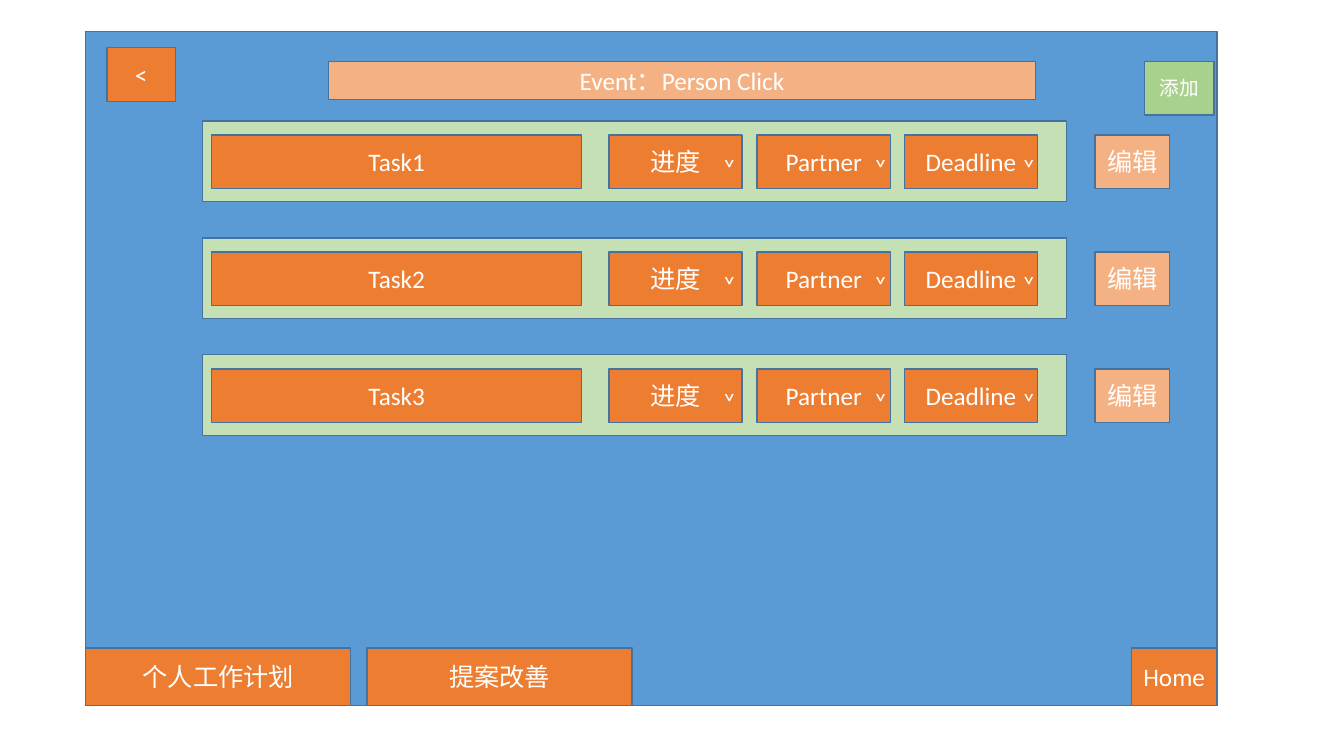
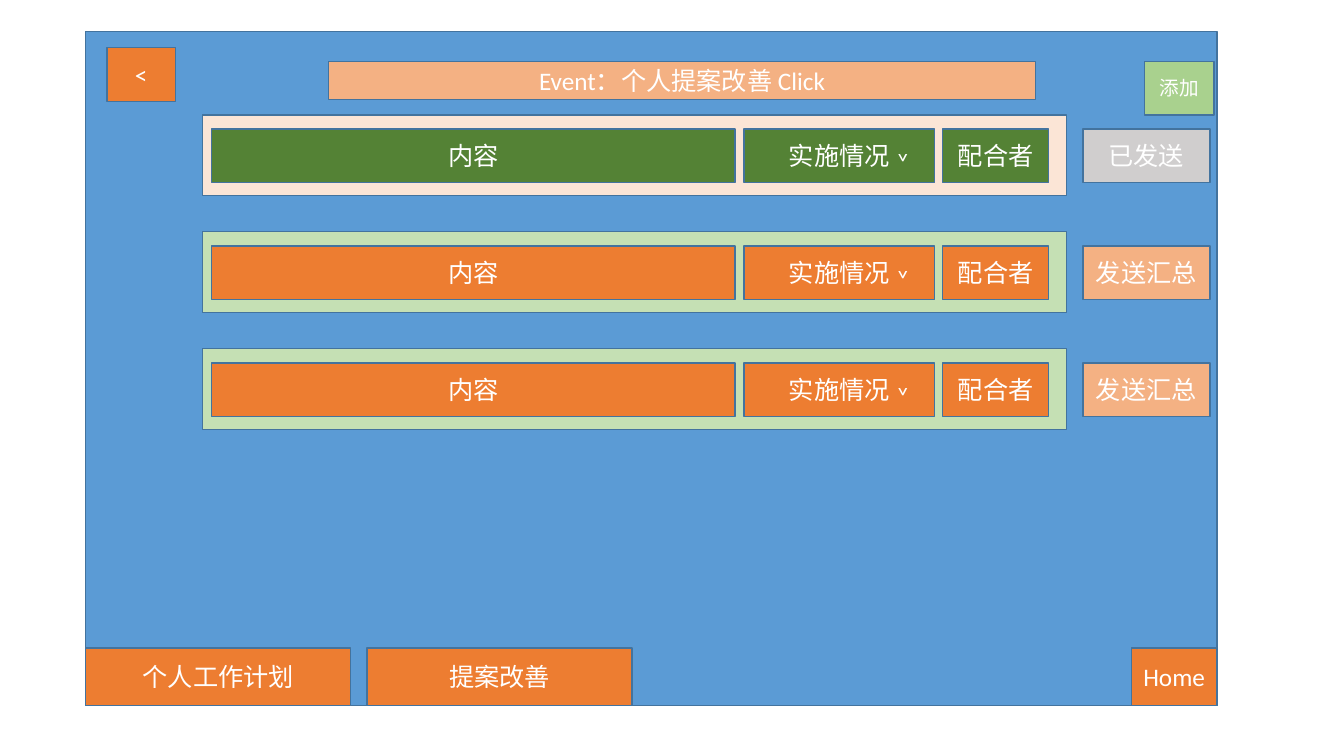
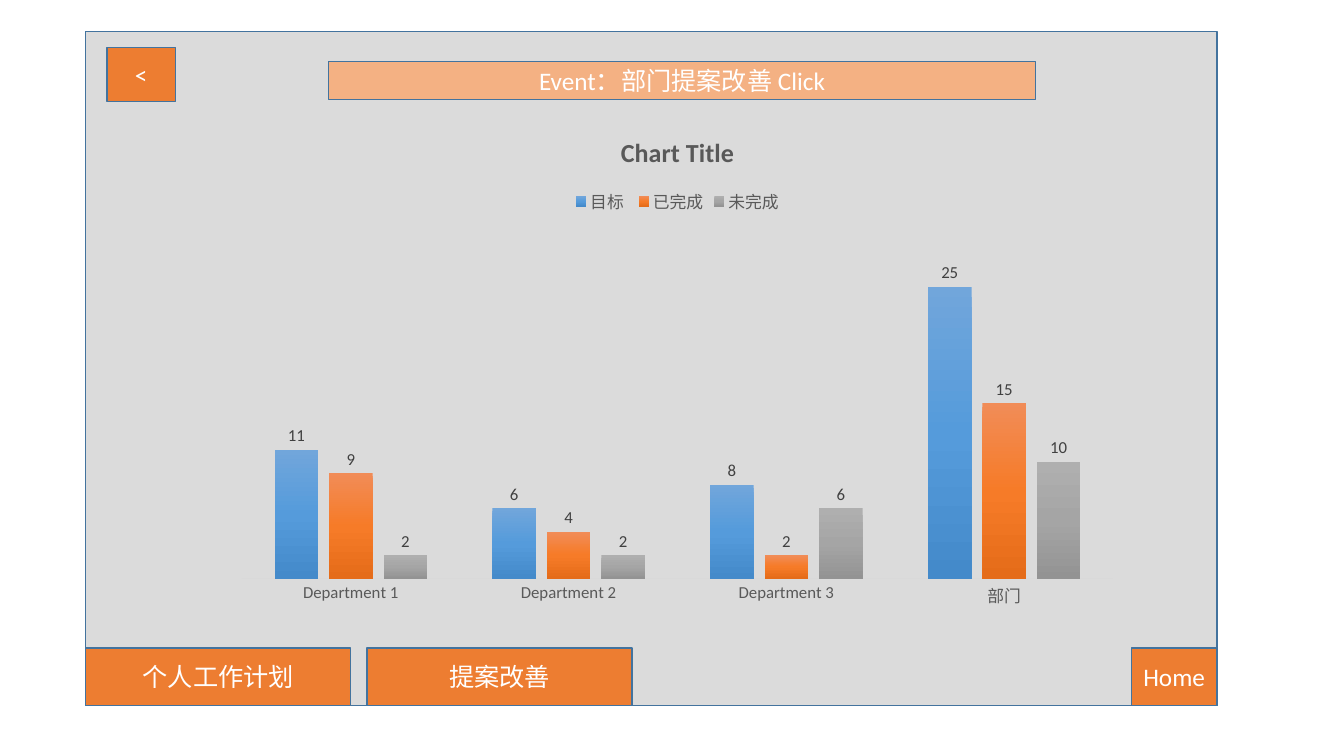
from collections import namedtuple
from copy import deepcopy

from pptx import Presentation
from pptx.chart.data import CategoryChartData
from pptx.dml.color import RGBColor
from pptx.enum.chart import XL_CHART_TYPE, XL_LABEL_POSITION, XL_LEGEND_POSITION, XL_TICK_MARK
from pptx.enum.shapes import MSO_SHAPE
from pptx.enum.text import MSO_ANCHOR, MSO_AUTO_SIZE, PP_ALIGN
from pptx.oxml.ns import qn
from pptx.util import Inches, Pt

FONT = "Calibri"
WHITE = RGBColor(0xFF, 0xFF, 0xFF)
BLUE = RGBColor(0x5B, 0x9B, 0xD5)
OUTLINE = RGBColor(0x43, 0x73, 0x9E)
ORANGE = RGBColor(0xED, 0x7D, 0x31)
PEACH = RGBColor(0xF4, 0xB1, 0x83)
BLUSH = RGBColor(0xFB, 0xE5, 0xD6)
GREEN = RGBColor(0xA9, 0xD1, 0x8E)
PALE_GREEN = RGBColor(0xC5, 0xE0, 0xB4)
DARK_GREEN = RGBColor(0x54, 0x82, 0x35)
SILVER = RGBColor(0xD0, 0xCE, 0xCE)
LIGHT_GRAY = RGBColor(0xDB, 0xDB, 0xDB)
AXIS_GRAY = RGBColor(0xD9, 0xD9, 0xD9)
TEXT_GRAY = RGBColor(0x59, 0x59, 0x59)
LABEL_GRAY = RGBColor(0x40, 0x40, 0x40)
BLUE_RAMP = [RGBColor(0x71, 0xA6, 0xDB), RGBColor(0x55, 0x9B, 0xDB), RGBColor(0x44, 0x8A, 0xCA)]
ORANGE_RAMP = [RGBColor(0xF1, 0x8C, 0x57), RGBColor(0xF6, 0x7B, 0x28), RGBColor(0xE5, 0x6C, 0x19)]
GRAY_RAMP = [RGBColor(0xAF, 0xAF, 0xAF), RGBColor(0xA5, 0xA5, 0xA5), RGBColor(0x93, 0x93, 0x93)]

GRID = Inches(0.1)
ROW_PITCH = 11.6
Box = namedtuple("Box", "left top width height")
Column = namedtuple("Column", "label left width chevron")

PANEL = Box(8.5, 3.1, 112.2, 66.9)
TASK_COLUMNS = [
    Column("进度", 40.3, 13.2, 50.6),
    Column("Partner", 55, 13.2, 65.6),
    Column("Deadline", 69.6, 13.2, 80.3),
]
PROPOSAL_COLUMNS = [
    Column("内容", 0.9, 51.9, None),
    Column("配合者", 73.4, 10.5, None),
    Column("实施情况", 53.7, 18.9, 67.8),
]


def within(box, left, top, width, height):
    """Return a box whose corner is measured from the corner of another."""
    return Box(box.left + left, box.top + top, width, height)


def scaled(box):
    """Turn a box in grid units into slide lengths."""
    return [round(value * GRID) for value in box]


def set_font(font, color, size, bold=False):
    """Format a font of text or of a chart part."""
    for name, value in {"name": FONT, "size": Pt(size), "bold": bold}.items():
        setattr(font, name, value)
    font.color.rgb = color


def write(shape, text, size, align):
    """Put one white line of text in a shape."""
    para = shape.text_frame.paragraphs[0]
    para.alignment = align
    span = para.add_run()
    span.text = text
    set_font(span.font, WHITE, size)


def dress(shape, fill, text="", size=18):
    """Give a shape the shared outline, its fill and its centred text."""
    shape.shadow.inherit = False
    shape.fill.solid()
    shape.fill.fore_color.rgb = fill
    shape.line.color.rgb = OUTLINE
    shape.line.width = Pt(1)
    frame = {"word_wrap": True, "auto_size": MSO_AUTO_SIZE.NONE, "vertical_anchor": MSO_ANCHOR.MIDDLE}
    for name, value in frame.items():
        setattr(shape.text_frame, name, value)
    if text:
        write(shape, text, size, PP_ALIGN.CENTER)


def add_button(shapes, box, fill, text="", size=18):
    """Add a rectangle with an optional label."""
    dress(shapes.add_shape(MSO_SHAPE.RECTANGLE, *scaled(box)), fill, text, size)


def add_chevron(shapes, box):
    """Add the mark of a drop-down list."""
    mark = shapes.add_textbox(*scaled(box))
    mark.text_frame.word_wrap = True
    write(mark, "˅", 18, PP_ALIGN.LEFT)


def add_title(page, box, text):
    """Move the title placeholder to the front and format it as a bar."""
    title = page.shapes.title
    title.element.getparent().append(title.element)
    for name, value in zip(Box._fields, scaled(box)):
        setattr(title, name, value)
    dress(title, PEACH, text)


def add_screen(deck, title, fill=BLUE):
    """Add a page with the panel, navigation buttons and title bar."""
    page = deck.slides.add_slide(deck.slide_layouts[5])
    add_button(page.shapes, PANEL, fill)
    add_button(page.shapes, within(PANEL, 2.1, 1.6, 6.8, 5.4), ORANGE, "<")
    for label, left, width in [("Home", 103.7, 8.5), ("个人工作计划", 0, 26.3), ("提案改善", 27.9, 26.3)]:
        add_button(page.shapes, within(PANEL, left, 61.2, width, 5.7), ORANGE, label)
    add_title(page, within(PANEL, 24.1, 3, 70.1, 3.8), title)
    return page


def add_row(page, box, columns, action, band=PALE_GREEN, cell=ORANGE):
    """Add a grouped band of cells with an action button beside it."""
    shapes = page.shapes.add_group_shape().shapes
    label, left, width, fill = action
    add_button(shapes, within(box, left, 1.4, width, 5.3), fill, label)
    add_button(shapes, box, band)
    for column in columns:
        add_button(shapes, within(box, column.left, 1.4, column.width, 5.3), cell, column.label)
    for column in columns:
        if column.chevron:
            add_chevron(shapes, within(box, column.chevron, 2.6, 2.6, 4))


def row_boxes(top):
    """Return the boxes of three equally spaced rows in the panel."""
    return [within(PANEL, 11.6, top + index * ROW_PITCH, 85.7, 8) for index in range(3)]


def add_adder(page):
    """Add the button that creates a new row."""
    add_button(page.shapes, within(PANEL, 105, 3, 6.9, 5.3), GREEN, "添加", 14)


def build_tasks(deck):
    """Build the list of personal tasks."""
    page = add_screen(deck, "Event：Person Click")
    for number, box in enumerate(row_boxes(8.9), 1):
        columns = [Column(f"Task{number}", 0.9, 36.7, None), *TASK_COLUMNS]
        add_row(page, box, columns, ("编辑", 88.5, 7.4, PEACH))
    add_adder(page)


def build_proposals(deck):
    """Build the list of proposals, the first of them already sent."""
    page = add_screen(deck, "Event：个人提案改善 Click")
    sent, *waiting = row_boxes(8.3)
    add_row(page, sent, PROPOSAL_COLUMNS, ("已发送", 87.3, 12.6, SILVER), BLUSH, DARK_GREEN)
    for box in waiting:
        add_row(page, box, PROPOSAL_COLUMNS, ("发送汇总", 87.3, 12.6, PEACH))
    add_adder(page)


def fill_ramp(series, ramp):
    """Fill a series with a three-stop gradient running downwards."""
    fill = series.format.fill
    fill.gradient()
    fill.gradient_angle = 270
    stops = series._element.find(".//" + qn("a:gsLst"))
    stops.insert(1, deepcopy(stops[0]))
    for stop, color, position in zip(fill.gradient_stops, ramp, (0, 0.5, 1)):
        stop.color.rgb = color
        stop.position = position


def add_column_chart(page, box):
    """Add the chart of targets and results by department."""
    data = CategoryChartData()
    data.categories = ["Department 1", "Department 2", "Department 3", "部门"]
    data.add_series("目标 ", [11, 6, 8, 25])
    data.add_series("已完成", [9, 4, 2, 15])
    data.add_series("未完成", [2, 2, 6, 10])
    chart = page.shapes.add_chart(XL_CHART_TYPE.COLUMN_CLUSTERED, *scaled(box), data).chart
    set_font(chart.font, TEXT_GRAY, 12)

    heading = chart.chart_title.text_frame
    heading.text = "Chart Title"
    set_font(heading.paragraphs[0].runs[0].font, TEXT_GRAY, 18.6, True)

    chart.has_legend = True
    chart.legend.position = XL_LEGEND_POSITION.TOP
    chart.legend.include_in_layout = False
    set_font(chart.legend.font, TEXT_GRAY, 12)

    chart.value_axis.visible = False
    chart.value_axis.has_major_gridlines = False
    axis = chart.category_axis
    axis.major_tick_mark = XL_TICK_MARK.NONE
    axis.format.line.color.rgb = AXIS_GRAY
    axis.format.line.width = Pt(1)
    set_font(axis.tick_labels.font, TEXT_GRAY, 12)

    plot = chart.plots[0]
    for name, value in {"gap_width": 150, "overlap": -25, "vary_by_categories": False}.items():
        setattr(plot, name, value)
    for series, ramp in zip(plot.series, [BLUE_RAMP, ORANGE_RAMP, GRAY_RAMP]):
        fill_ramp(series, ramp)
        labels = series.data_labels
        labels.show_value = True
        labels.position = XL_LABEL_POSITION.OUTSIDE_END
        set_font(labels.font, LABEL_GRAY, 12)


def build_departments(deck):
    """Build the department overview."""
    page = add_screen(deck, "Event：部门提案改善 Click", LIGHT_GRAY)
    add_column_chart(page, within(PANEL, 13.7, 8.2, 90, 50))


def main():
    """Build and save the deck."""
    deck = Presentation()
    deck.slide_width = Inches(13.33)
    deck.slide_height = Inches(7.5)
    for build in (build_tasks, build_proposals, build_departments):
        build(deck)
    deck.save("out.pptx")


if __name__ == "__main__":
    main()
